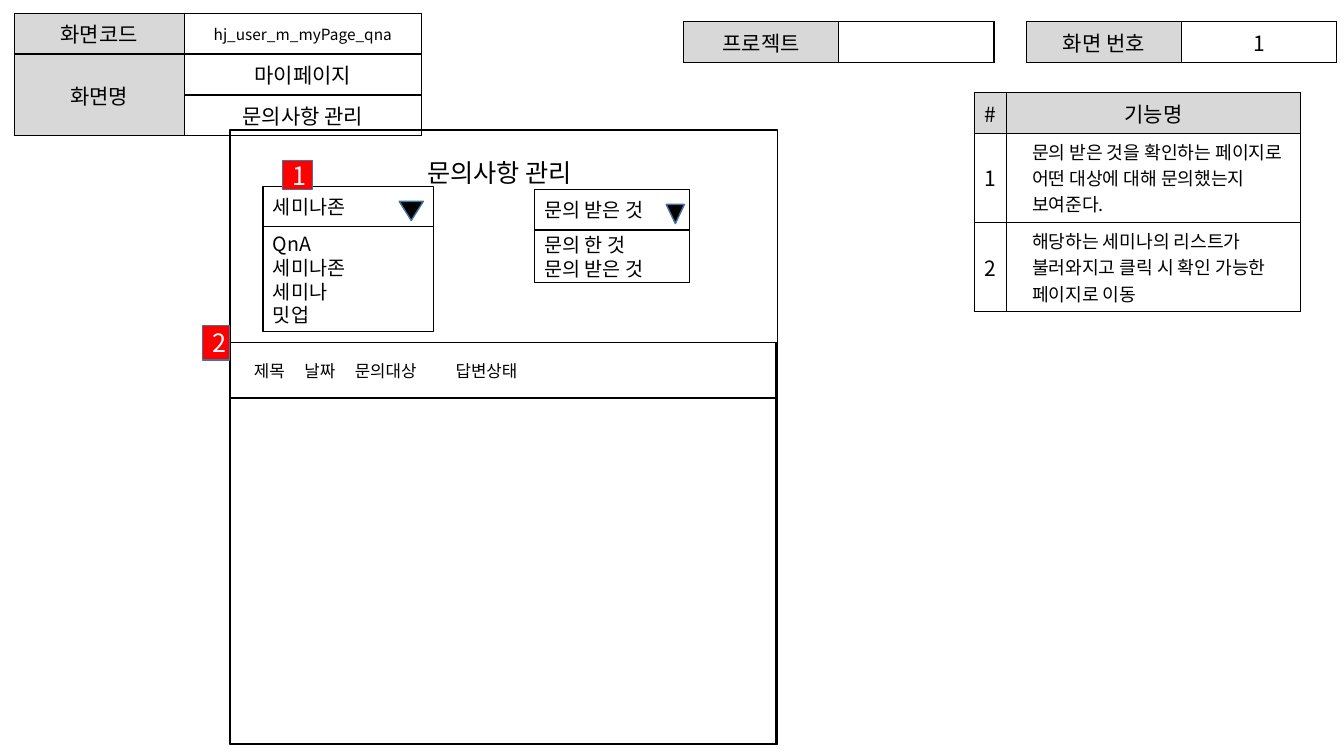
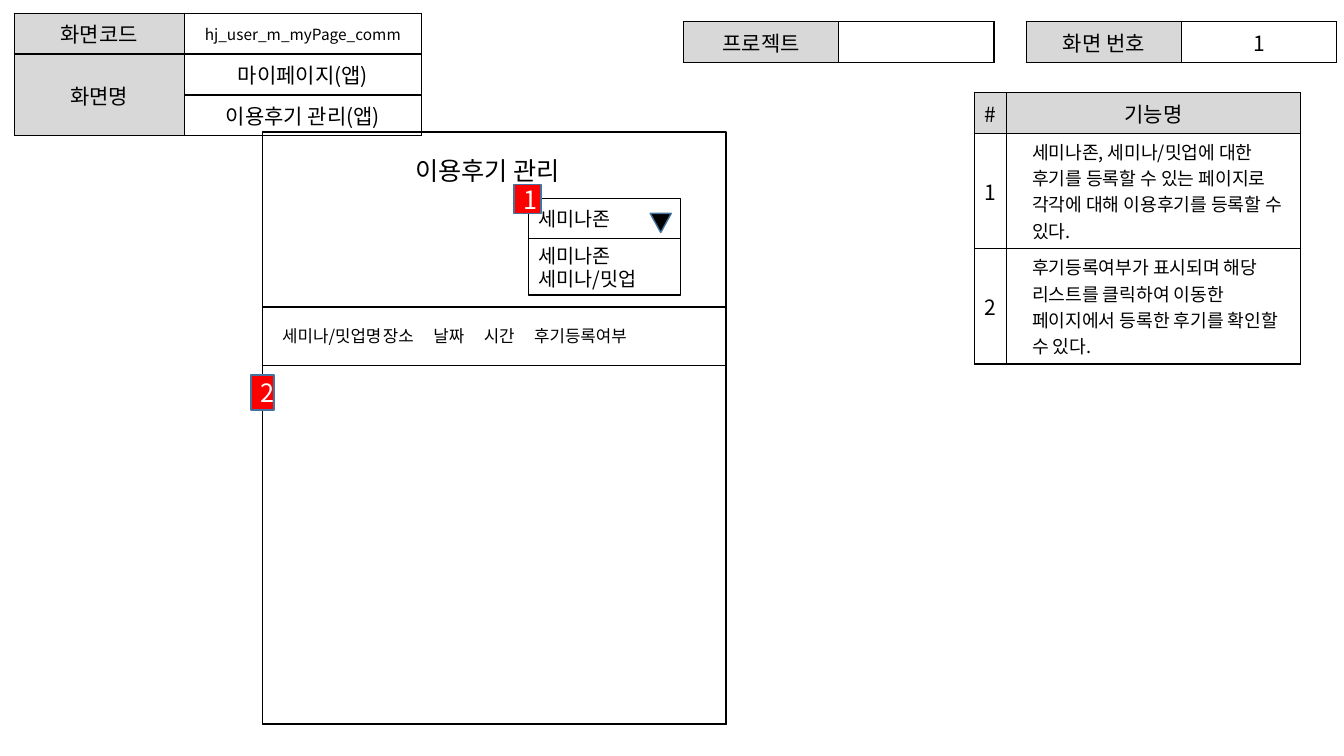
from lxml import etree
from pptx import Presentation
from pptx.dml.color import RGBColor
from pptx.enum import shapes, text
from pptx.oxml.ns import qn
from pptx.util import Pt

COLORS = {"ink": "000000", "paper": "FFFFFF", "label": "D8D8D8",
          "badge": "FF0000", "edge": "43739E"}
FONT = "Noto Sans CJK KR"
LEFT, CENTER = text.PP_ALIGN.LEFT, text.PP_ALIGN.CENTER
FIELD_HEIGHT, ARROW_HEIGHT = 28.8, 13.7
ROW_HEIGHT = 29.2

# Boxes are (left, top, width, height) in points.
SCREENS = [
    {
        "code": "hj_user_m_myPage_qna",
        "names": ["마이페이지", "문의사항 관리"],
        "number": "1",
        "features": ["문의 받은 것을 확인하는 페이지로 어떤 대상에 대해 문의했는지 보여준다.",
                     "해당하는 세미나의 리스트가 불러와지고 클릭 시 확인 가능한 페이지로 이동"],
        "feature_height": 63.7,
        "heading": ("문의사항 관리", (262.8, 108.7, 187.9, 28.8), CENTER),
        "frame": (164.2, 92.9, 391, 438.5),
        "list": (164.2, 244.8, 390.2, 286.6),
        "columns": ["제목", "날짜", "문의대상", "답변상태"],
        "column_height": 39.6,
        "column_inset": 17.2,
        "tabs": [69, 148, 243],
        "dropdowns": [
            {"at": (187.9, 133.2), "width": 121.7, "value": "세미나존",
             "options": ["QnA", "세미나존", "세미나", "밋업"], "height": 74.9,
             "arrow": (285.1, 17.3)},
            {"at": (381.6, 135.4), "width": 110.9, "value": "문의 받은 것",
             "options": ["문의 한 것", "문의 받은 것"], "height": 37.8,
             "arrow": (475.9, 13)},
        ],
        "badges": [(201.6, 114.5, 21.6, 20.9), (144.7, 232.6, 19.4, 24.5)],
    },
    {
        "code": "hj_user_m_myPage_comm",
        "names": ["마이페이지(앱)", "이용후기 관리(앱)"],
        "number": "1",
        "features": ["세미나존, 세미나/밋업에 대한 후기를 등록할 수 있는 페이지로 각각에 대해 이용후기를 등록할 수 있다.",
                     "후기등록여부가 표시되며 해당 리스트를 클릭하여 이동한 페이지에서 등록한 후기를 확인할 수 있다."],
        "feature_height": 82.2,
        "heading": ("이용후기 관리", (289.4, 107.3, 168.5, 28.8), LEFT),
        "frame": (187.5, 94.3, 331.2, 422.6),
        "list": (187.7, 219.2, 331.2, 298.4),
        "columns": ["세미나/밋업명", "장소", "날짜", "시간", "후기등록여부"],
        "column_height": 41.8,
        "column_inset": 13.9,
        "tabs": [96.4, 135.7, 171.4, 206.4],
        "dropdowns": [
            {"at": (377.3, 141.8), "width": 108.7, "value": "세미나존",
             "options": ["세미나존", "세미나/밋업"], "height": 40.3,
             "arrow": (464.4, 15.1)},
        ],
        "badges": [(367.2, 131.8, 19.4, 20.9), (179.3, 267.8, 16.6, 25.2)],
    },
]


def rgb(name):
    return RGBColor.from_string(COLORS[name])


def write(frame, lines, size, color="ink", align=LEFT, spacing=None):
    frame.word_wrap = True
    frame.text = "\n".join(lines)
    for paragraph in frame.paragraphs:
        paragraph.alignment = align
        if spacing:
            paragraph.line_spacing = Pt(spacing)
        font = paragraph.font
        font.size, font.name = Pt(size), FONT
        font.color.rgb = rgb(color)
        defaults = paragraph._p.pPr.find(qn("a:defRPr"))
        etree.SubElement(defaults, qn("a:ea"), typeface=FONT)


def add_box(slide, box, kind=shapes.MSO_SHAPE.RECTANGLE, fill=None, line="ink"):
    shape = slide.shapes.add_shape(kind, *map(Pt, box))
    shape.shadow.inherit = False
    if fill:
        shape.fill.solid()
        shape.fill.fore_color.rgb = rgb(fill)
    else:
        shape.fill.background()
    shape.line.color.rgb = rgb(line)
    shape.line.width = Pt(1)
    shape.text_frame.vertical_anchor = text.MSO_ANCHOR.MIDDLE
    return shape


def style_cell(cell, fill):
    """Fill the cell and draw a thin border on all four sides."""
    cell.vertical_anchor = text.MSO_ANCHOR.MIDDLE
    properties = cell._tc.get_or_add_tcPr()
    for side in ("lnL", "lnR", "lnT", "lnB"):
        border = etree.SubElement(properties, qn(f"a:{side}"), w=str(Pt(1)))
        solid = etree.SubElement(border, qn("a:solidFill"))
        etree.SubElement(solid, qn("a:srgbClr"), val=COLORS["ink"])
    cell.fill.solid()
    cell.fill.fore_color.rgb = rgb(fill)


def add_table(slide, left, top, widths, heights, rows, labels):
    """Add a grid; labels holds the (row, column) pairs with a grey fill."""
    table = slide.shapes.add_table(
        len(heights), len(widths), Pt(left), Pt(top),
        Pt(sum(widths)), Pt(sum(heights))).table
    table.first_row = table.horz_banding = False
    for column, width in zip(table.columns, widths):
        column.width = Pt(width)
    for r, (height, values) in enumerate(zip(heights, rows)):
        table.rows[r].height = Pt(height)
        for c, value in enumerate(values):
            cell = table.cell(r, c)
            style_cell(cell, "label" if (r, c) in labels else "paper")
            write(cell.text_frame, [value], 15, align=CENTER)
    return table


def add_header(slide, screen):
    first, second = screen["names"]
    names = add_table(slide, 10.1, 9.4, [121.7, 169.2], [ROW_HEIGHT] * 3,
                      [["화면코드", screen["code"]], ["화면명", first], ["", second]],
                      {(0, 0), (1, 0), (2, 0)})
    names.cell(1, 0).merge(names.cell(2, 0))
    names.cell(0, 1).text_frame.paragraphs[0].font.size = Pt(11)
    for left, label, value in ((733, "화면 번호", screen["number"]),
                               (488.2, "프로젝트", "")):
        add_table(slide, left, 15.6, [110.9] * 2, [ROW_HEIGHT],
                  [[label, value]], {(0, 0)})


def add_features(slide, screen):
    features = screen["features"]
    rows = [["#", "기능명"]] + [[str(n), ""] for n in range(1, len(features) + 1)]
    heights = [28.9] + [screen["feature_height"]] * len(features)
    table = add_table(slide, 696.2, 66.2, [23, 209.5], heights, rows,
                      {(0, 0), (0, 1)})
    for row, feature in enumerate(features, 1):
        cell = table.cell(row, 1)
        cell.vertical_anchor = text.MSO_ANCHOR.TOP
        cell.margin_left = Pt(18)
        write(cell.text_frame, [feature], 13, spacing=18.8)


def add_heading(slide, title, box, align):
    heading = slide.shapes.title
    heading.left, heading.top, heading.width, heading.height = map(Pt, box)
    frame = heading.text_frame
    frame.auto_size = text.MSO_AUTO_SIZE.NONE
    frame.vertical_anchor = text.MSO_ANCHOR.MIDDLE
    write(frame, [title], 18, align=align)


def add_dropdown(slide, at, width, value, options, height, arrow):
    left, top = at
    field = add_box(slide, (left, top, width, FIELD_HEIGHT))
    write(field.text_frame, [value], 14)
    arrow_left, arrow_width = arrow
    triangle = add_box(slide, (arrow_left, top + 10.6, arrow_width, ARROW_HEIGHT),
                       shapes.MSO_SHAPE.ISOSCELES_TRIANGLE, "ink", "edge")
    triangle.rotation = 180
    choices = add_box(slide, (left, top + FIELD_HEIGHT, width, height))
    write(choices.text_frame, options, 14, spacing=17)


def add_list(slide, screen):
    left, top, width, _ = screen["list"]
    add_box(slide, screen["list"])
    bar = add_box(slide, (left, top, width, screen["column_height"]))
    frame = bar.text_frame
    frame.margin_left = Pt(screen["column_inset"])
    frame.text = "\t".join(screen["columns"])
    properties = frame.paragraphs[0]._p.get_or_add_pPr()
    stops = etree.SubElement(properties, qn("a:tabLst"))
    for position in screen["tabs"]:
        etree.SubElement(stops, qn("a:tab"), pos=str(Pt(position)), algn="l")
    write(frame, ["\t".join(screen["columns"])], 12)


def add_screen(presentation, screen):
    slide = presentation.slides.add_slide(presentation.slide_layouts[5])
    add_header(slide, screen)
    add_features(slide, screen)
    add_box(slide, screen["frame"])
    add_heading(slide, *screen["heading"])
    for dropdown in screen["dropdowns"]:
        add_dropdown(slide, **dropdown)
    add_list(slide, screen)
    for number, box in enumerate(screen["badges"], 1):
        badge = add_box(slide, box, fill="badge", line="edge")
        write(badge.text_frame, [str(number)], 18, "paper", CENTER)


def main():
    presentation = Presentation()
    presentation.slide_width, presentation.slide_height = Pt(960), Pt(540)
    for screen in SCREENS:
        add_screen(presentation, screen)
    presentation.save("out.pptx")


if __name__ == "__main__":
    main()
